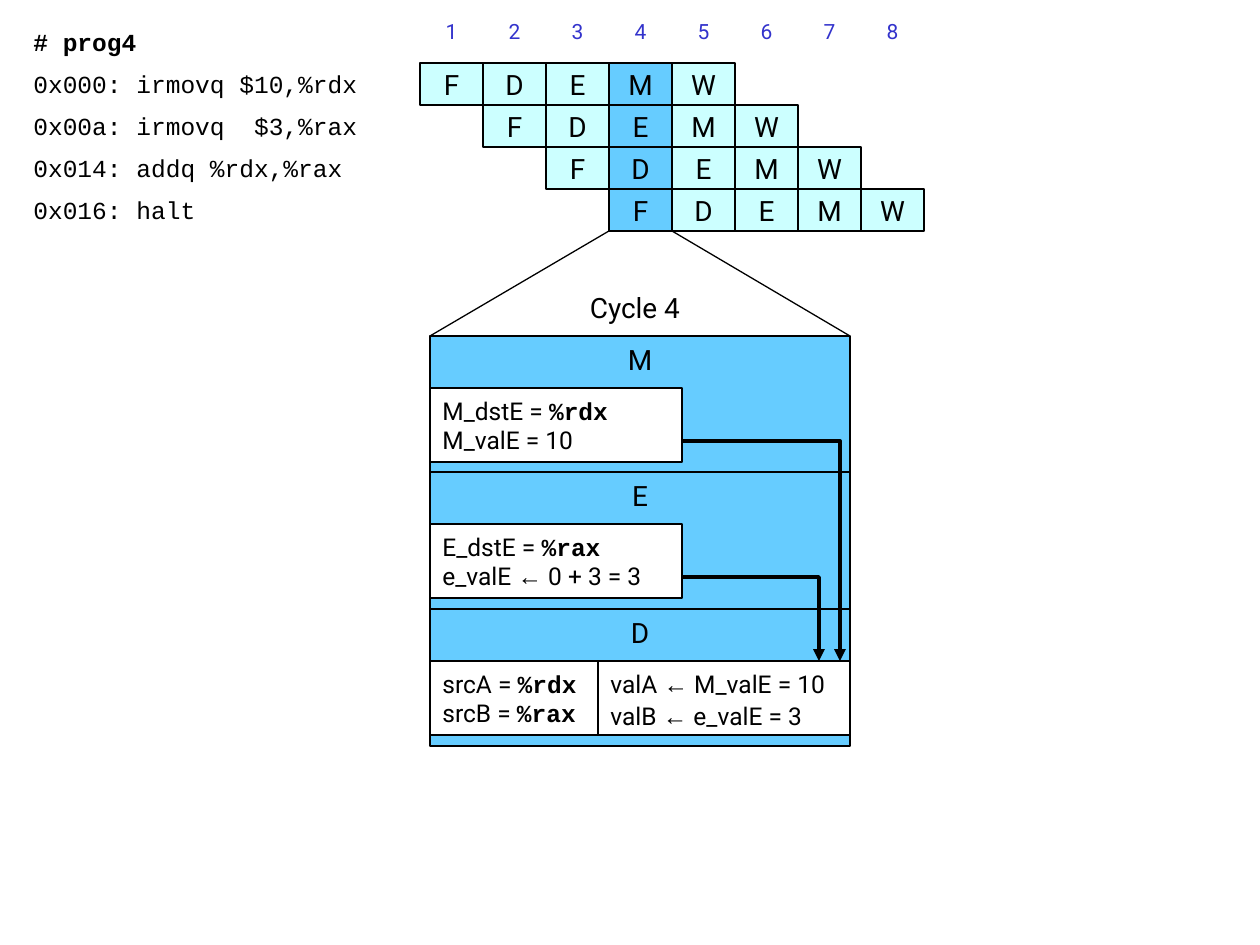
from lxml import etree
from pptx import Presentation
from pptx.dml.color import RGBColor
from pptx.enum.shapes import MSO_CONNECTOR, MSO_SHAPE
from pptx.enum.text import MSO_ANCHOR, PP_ALIGN
from pptx.oxml.ns import qn
from pptx.util import Pt

RECTANGLE = MSO_SHAPE.RECTANGLE
STRAIGHT = MSO_CONNECTOR.STRAIGHT
TOP, MIDDLE = MSO_ANCHOR.TOP, MSO_ANCHOR.MIDDLE
LEFT, CENTER = PP_ALIGN.LEFT, PP_ALIGN.CENTER

COLORS = {
    "black": "000000",
    "white": "FFFFFF",
    "cycle": "3333CC",
    "stage": "CCFFFF",
    "active": "66CCFF",
}
BODY, CODE, SYMBOL = "Roboto", "Courier New", "Arial"

SCALE = 914400 / 126  # EMU per px
CELL_WIDTH, ROW_HEIGHT = 63, 42
GRID_LEFT, GRID_TOP = 420, 63
CODE_LEFT, CODE_WIDTH = 21, 357
ACTIVE_CYCLE = 4
ZOOM_LEFT, ZOOM_WIDTH, ZOOM_TOP = 430, 420, 336
STAGE_HEIGHT, DETAIL_HEIGHT, DETAIL_OFFSET = 137, 74, 52

LISTING = [
    "# prog4",
    "0x000: irmovq $10,%rdx",
    "0x00a: irmovq  $3,%rax",
    "0x014: addq %rdx,%rax",
    "0x016: halt",
]


def px(length):
    return round(length * SCALE)


def color(name):
    return RGBColor.from_string(COLORS[name])


def style(span, size, font=BODY, ink="black", bold=False):
    span.font.size = Pt(size)
    span.font.name = font
    span.font.bold = bold
    span.font.color.rgb = color(ink)


def add_box(page, left, top, width, height, fill="white", border=None):
    box = page.shapes.add_shape(RECTANGLE, px(left), px(top), px(width), px(height))
    box.shadow.inherit = False
    box.fill.solid()
    box.fill.fore_color.rgb = color(fill)
    if border:
        box.line.color.rgb = color("black")
        box.line.width = Pt(border)
    else:
        box.line.fill.background()
    box.text_frame.word_wrap = False
    return box


def write_label(box, text, size, align=CENTER, anchor=MIDDLE, **look):
    box.text_frame.text = text
    box.text_frame.vertical_anchor = anchor
    para = box.text_frame.paragraphs[0]
    para.alignment = align
    style(para.runs[0], size, **look)


def add_detail(page, left, top, width, lines, spacing=None):
    """White box whose lines mix plain text, registers and arrow signs."""
    box = add_box(page, left, top, width, DETAIL_HEIGHT, border=1)
    frame = box.text_frame
    frame.vertical_anchor = MIDDLE
    for index, pieces in enumerate(lines):
        para = frame.add_paragraph() if index else frame.paragraphs[0]
        para.alignment = LEFT
        if spacing:
            para.line_spacing = spacing
        for piece in pieces:
            span = para.add_run()
            span.text = piece
            register = piece.startswith("%")
            font = CODE if register else SYMBOL if piece == "←" else BODY
            style(span, 14, font, bold=register)


def add_line(page, start, end):
    line = page.shapes.add_connector(STRAIGHT, *map(px, start + end))
    line.line.color.rgb = color("black")
    line.line.width = Pt(0.75)
    etree.SubElement(line._element.spPr, qn("a:effectLst"))


def add_bent_arrow(page, start, end):
    """Arrow that runs right from start, then down to end."""
    builder = page.shapes.build_freeform(px(start[0]), px(start[1]))
    corner = (end[0], start[1])
    builder.add_line_segments(
        [tuple(map(px, point)) for point in (corner, end)], close=False
    )
    arrow = builder.convert_to_shape()
    arrow.shadow.inherit = False
    arrow.fill.background()
    arrow.line.color.rgb = color("black")
    arrow.line.width = Pt(2.25)
    outline = arrow._element.spPr.find(qn("a:ln"))
    etree.SubElement(outline, qn("a:tailEnd"), type="triangle")


def add_listing(page):
    for row, text in enumerate(LISTING):
        top = GRID_TOP + (row - 1) * ROW_HEIGHT
        box = add_box(page, CODE_LEFT, top, CODE_WIDTH, ROW_HEIGHT)
        write_label(box, text, 14, LEFT, font=CODE, bold=row == 0)


def add_pipeline(page):
    # Cycle numbers
    for cycle in range(1, 9):
        left = GRID_LEFT + (cycle - 1) * CELL_WIDTH
        box = add_box(page, left, 10, CELL_WIDTH, ROW_HEIGHT)
        write_label(box, str(cycle), 12, ink="cycle")
    # Each instruction starts one cycle after the one before
    for row in range(len(LISTING) - 1):
        for step, stage in enumerate("FDEMW"):
            column = row + step
            fill = "active" if column + 1 == ACTIVE_CYCLE else "stage"
            box = add_box(page, GRID_LEFT + column * CELL_WIDTH,
                          GRID_TOP + row * ROW_HEIGHT,
                          CELL_WIDTH, ROW_HEIGHT, fill, 1)
            write_label(box, stage, 16)


def add_zoom(page):
    # Lines from the active column to the enlarged view
    column_left = GRID_LEFT + (ACTIVE_CYCLE - 1) * CELL_WIDTH
    column_bottom = GRID_TOP + (len(LISTING) - 1) * ROW_HEIGHT
    zoom_right = ZOOM_LEFT + ZOOM_WIDTH
    add_line(page, (column_left, column_bottom), (ZOOM_LEFT, ZOOM_TOP))
    add_line(page, (column_left + CELL_WIDTH, column_bottom), (zoom_right, ZOOM_TOP))
    caption = page.shapes.add_textbox(px(504), px(284), px(262), px(47))
    caption.text_frame.word_wrap = True
    write_label(caption, "Cycle 4", 16, anchor=TOP)

    # Stage bands
    stage_tops = {"M": ZOOM_TOP, "E": 472, "D": 609}
    for stage, top in stage_tops.items():
        band = add_box(page, ZOOM_LEFT, top, ZOOM_WIDTH, STAGE_HEIGHT, "active", 0.75)
        write_label(band, stage, 16, anchor=TOP)

    # Values held in each stage
    detail_tops = {name: top + DETAIL_OFFSET for name, top in stage_tops.items()}
    add_detail(page, ZOOM_LEFT, detail_tops["M"], 252,
               [("M_dstE = ", "%rdx"), ("M_valE = 10",)])
    add_detail(page, ZOOM_LEFT, detail_tops["E"], 252,
               [("E_dstE = ", "%rax"), ("e_valE ", "←", " 0 + 3 = 3")])
    add_detail(page, ZOOM_LEFT, detail_tops["D"], 168,
               [("srcA = ", "%rdx"), ("srcB = ", "%rax")])
    add_detail(page, ZOOM_LEFT + 168, detail_tops["D"], 252,
               [("valA ", "←", " M_valE = 10"), ("valB ", "←", " e_valE = 3")],
               spacing=1.1)

    # Forwarding paths into decode
    for stage, end_x in (("M", 840), ("E", 819)):
        start = (ZOOM_LEFT + 252, detail_tops[stage] + 53)
        add_bent_arrow(page, start, (end_x, detail_tops["D"]))


def main():
    deck = Presentation()
    deck.slide_width, deck.slide_height = px(1260), px(945)
    page = deck.slides.add_slide(deck.slide_layouts[6])
    add_listing(page)
    add_pipeline(page)
    add_zoom(page)
    deck.save("out.pptx")


if __name__ == "__main__":
    main()
